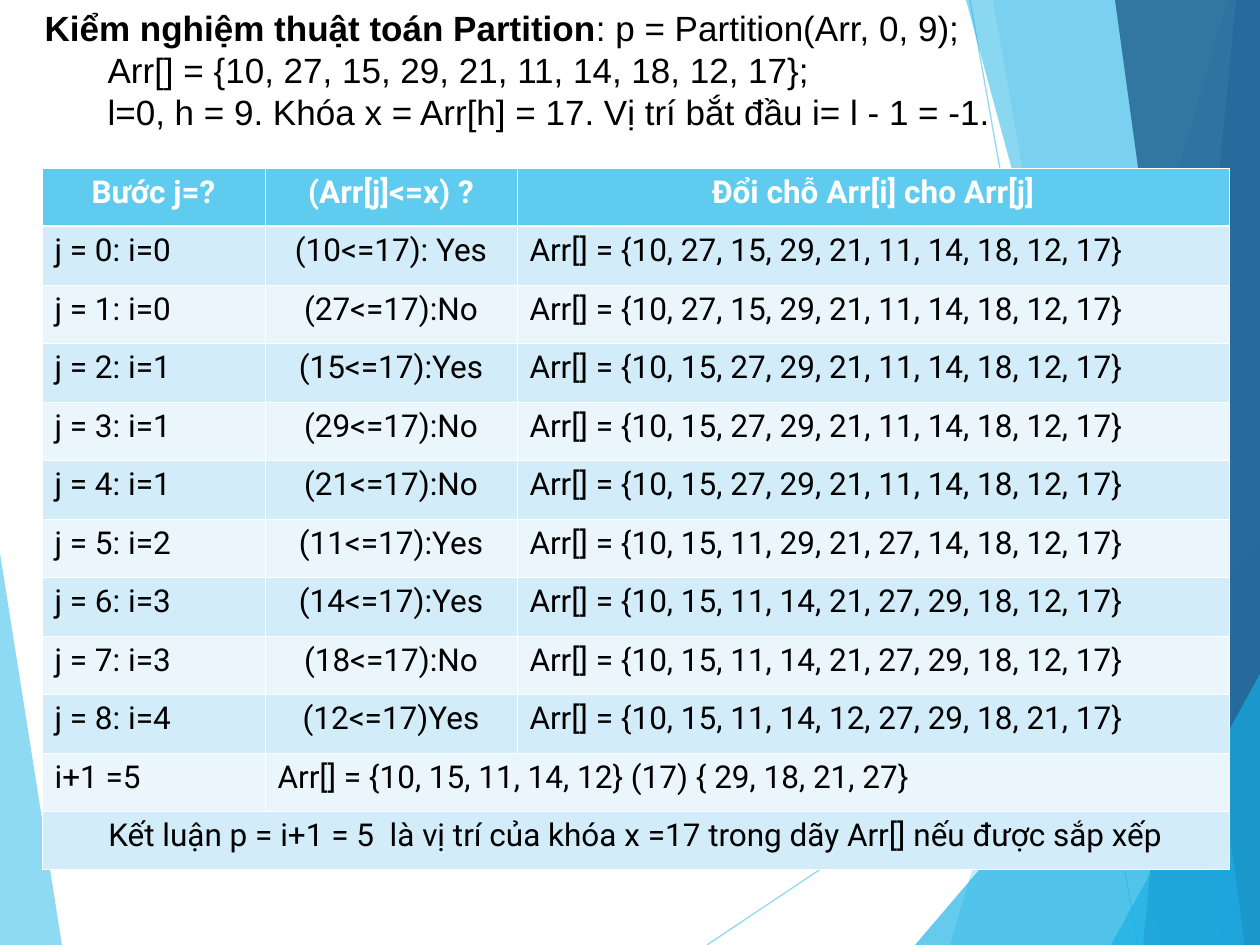
from pptx import Presentation
from pptx.dml.color import RGBColor
from pptx.enum.shapes import MSO_CONNECTOR
from pptx.enum.text import MSO_ANCHOR, MSO_AUTO_SIZE, PP_ALIGN
from pptx.oxml.ns import qn
from pptx.util import Pt
from lxml import etree

LEFT, MID = PP_ALIGN.LEFT, PP_ALIGN.CENTER
TOP, FIXED = MSO_ANCHOR.TOP, MSO_AUTO_SIZE.NONE
LINE = MSO_CONNECTOR.STRAIGHT

PX = 914400 // 126
WIDE, HIGH = 1260, 945

SKY = RGBColor(0x5F, 0xCB, 0xEF)
CYAN = RGBColor(0x17, 0xB0, 0xE4)
BLUE = RGBColor(0x2E, 0x83, 0xC3)
NAVY = RGBColor(0x23, 0x62, 0x92)
DARK = RGBColor(0xD2, 0xEC, 0xF9)
PALE = RGBColor(0xEA, 0xF6, 0xFC)
WHITE = RGBColor(0xFF, 0xFF, 0xFF)
BLACK = RGBColor(0, 0, 0)

# Content: each title line is a list of (text, bold) runs
TITLE = [
    [("Kiểm nghiệm thuật toán Partition", True),
     (": p = Partition(Arr, 0, 9);", False)],
    [("\tArr[] = {10, 27, 15, 29, 21, 11, 14, 18, 12, 17};", False)],
    [("\tl=0, h = 9. Khóa x = Arr[h] = 17. Vị trí bắt đầu i= l - 1 = -1.",
      False)],
]
ROWS = [
    ("Bước j=?", "(Arr[j]<=x) ?", "Đổi chỗ Arr[i] cho Arr[j]"),
    ("j = 0: i=0", "(10<=17): Yes",
     "Arr[] = {10, 27, 15, 29, 21, 11, 14, 18, 12, 17}"),
    ("j = 1: i=0", "(27<=17):No",
     "Arr[] = {10, 27, 15, 29, 21, 11, 14, 18, 12, 17}"),
    ("j = 2: i=1", "(15<=17):Yes",
     "Arr[] = {10, 15, 27, 29, 21, 11, 14, 18, 12, 17}"),
    ("j = 3: i=1", "(29<=17):No",
     "Arr[] = {10, 15, 27, 29, 21, 11, 14, 18, 12, 17}"),
    ("j = 4: i=1", "(21<=17):No",
     "Arr[] = {10, 15, 27, 29, 21, 11, 14, 18, 12, 17}"),
    ("j = 5: i=2", "(11<=17):Yes",
     "Arr[] = {10, 15, 11, 29, 21, 27, 14, 18, 12, 17}"),
    ("j = 6: i=3", "(14<=17):Yes",
     "Arr[] = {10, 15, 11, 14, 21, 27, 29, 18, 12, 17}"),
    ("j = 7: i=3", "(18<=17):No",
     "Arr[] = {10, 15, 11, 14, 21, 27, 29, 18, 12, 17}"),
    ("j = 8: i=4", "(12<=17)Yes",
     "Arr[] = {10, 15, 11, 14, 12, 27, 29, 18, 21, 17}"),
    ("i+1 =5", "Arr[] = {10, 15, 11, 14, 12} (17) { 29, 18, 21, 27}"),
    ("Kết luận p = i+1 = 5  là vị trí của khóa x =17 trong dãy Arr[] "
     "nếu được sắp xếp",),
]
COLS = (223, 252, 712)
GRID = (42, 168, sum(COLS), 702)

# Backdrop: rays are lines, shards are (colour, opacity %, corners)
RAYS = [(707, HIGH, WIDE, 576), (970, 0, 1138, HIGH)]
END, TIP = (WIDE, HIGH), (WIDE, 0)
LEAF = (SKY, 70, [(0, 553), (62, HIGH), (0, HIGH)])
SHARDS = [
    (SKY, 36, [(1228, 0), (950, HIGH), END, TIP]),
    (SKY, 20, [(993, 0), (1158, HIGH), END, TIP]),
    (CYAN, 66, [(915, HIGH), (WIDE, 541), END]),
    (CYAN, 50, [(966, 0), (1222, HIGH), END, TIP]),
    (BLUE, 70, [(1236, 0), (1143, HIGH), END, TIP]),
    (NAVY, 82, [(1115, 0), (1245, HIGH), END, TIP]),
    (CYAN, 66, [(1111, HIGH), (WIDE, 674), END]),
]


def fade(part, rate):
    for tone in part.iter(qn("a:srgbClr")):
        etree.SubElement(tone, qn("a:alpha"), val=str(rate * 1000))


def add_shard(shapes, tone, rate, spots):
    pen = shapes.build_freeform(*spots[0], scale=PX)
    pen.add_line_segments(spots[1:], close=True)
    shard = pen.convert_to_shape()
    shard.shadow.inherit = False
    shard.fill.solid()
    shard.fill.fore_color.rgb = tone
    shard.line.fill.background()
    fade(shard.fill._xPr, rate)


def add_ray(shapes, ends):
    ray = shapes.add_connector(LINE, *(v * PX for v in ends))
    ray.line.color.rgb = SKY
    ray.line.width = Pt(0.75)
    props = ray._element.spPr
    fade(props, 70)
    etree.SubElement(props, qn("a:effectLst"))


def add_run(para, text, face, size, tone, bold):
    run = para.add_run()
    run.text = text
    font = run.font
    font.name, font.size, font.bold = face, Pt(size), bold
    font.color.rgb = tone


def edge(cell, side, width):
    line = etree.SubElement(cell._tc.get_or_add_tcPr(), qn("a:ln" + side),
                            w=str(Pt(width)))
    fill = etree.SubElement(line, qn("a:solidFill"))
    etree.SubElement(fill, qn("a:srgbClr"), val=str(WHITE))


def add_title(slide):
    title = slide.shapes.title
    title.left, title.top, title.width, title.height = (
        v * PX for v in (32, 0, 1197, 139))
    frame = title.text_frame
    frame.word_wrap = True
    frame.auto_size = FIXED
    frame.vertical_anchor = TOP
    for i, runs in enumerate(TITLE):
        para = frame.add_paragraph() if i else frame.paragraphs[0]
        para.alignment = LEFT
        for text, bold in runs:
            add_run(para, text, "Arial", 20, BLACK, bold)
    # Bring the title in front of the backdrop
    slide.shapes._spTree.append(title._element)


def add_grid(shapes):
    count, high = len(ROWS), GRID[3]
    grid = shapes.add_table(count, len(COLS), *(v * PX for v in GRID)).table
    for col, wide in zip(grid.columns, COLS):
        col.width = wide * PX
    for r, texts in enumerate(ROWS):
        head = r == 0
        grid.rows[r].height = ((r + 1) * high // count
                               - r * high // count) * PX
        for c in range(len(COLS)):
            cell = grid.cell(r, c)
            for side in "LRTB":
                thick = (r, side) in ((0, "B"), (1, "T"))
                edge(cell, side, 1.47 if thick else 0.45)
            cell.fill.solid()
            cell.fill.fore_color.rgb = SKY if head else (PALE, DARK)[r % 2]
        # The last text of a short row spans the columns left over
        last = len(texts) - 1
        if last < len(COLS) - 1:
            grid.cell(r, last).merge(grid.cell(r, len(COLS) - 1))
        for c, text in enumerate(texts):
            para = grid.cell(r, c).text_frame.paragraphs[0]
            mid = head or last == 0 or (c == 1 and last == 2)
            para.alignment = MID if mid else LEFT
            add_run(para, text, "Roboto", 18, WHITE if head else BLACK, head)
    # The closing row takes the dark band
    grid.cell(count - 1, 0).fill.fore_color.rgb = DARK


def main():
    deck = Presentation()
    deck.slide_width, deck.slide_height = WIDE * PX, HIGH * PX
    slide = deck.slides.add_slide(deck.slide_layouts[5])
    add_shard(slide.shapes, *LEAF)
    for ends in RAYS:
        add_ray(slide.shapes, ends)
    for shard in SHARDS:
        add_shard(slide.shapes, *shard)
    add_title(slide)
    add_grid(slide.shapes)
    deck.save("out.pptx")


if __name__ == "__main__":
    main()
